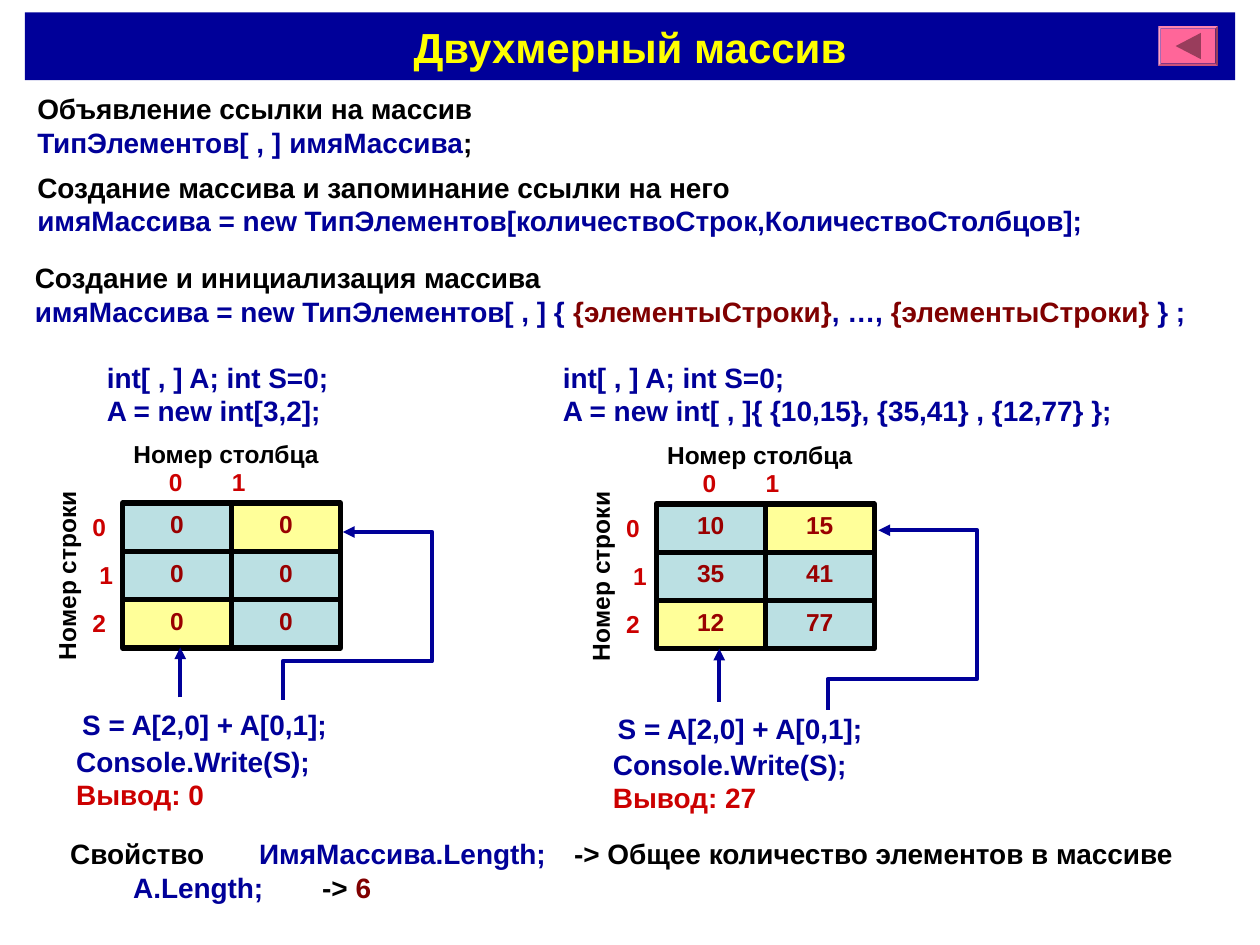
from lxml.etree import SubElement
from pptx import Presentation
from pptx.dml.color import RGBColor
from pptx.enum.shapes import MSO_CONNECTOR, MSO_SHAPE
from pptx.enum.text import MSO_ANCHOR, PP_ALIGN
from pptx.oxml.ns import qn
from pptx.util import Pt

COLORS = {"navy": "000099", "black": "000000", "red": "CC0000", "maroon": "800000",
          "value": "990000", "yellow": "FFFF00", "pale": "FFFF99", "teal": "BBE0E3",
          "pink": "FF6699", "shade": "993D5C"}
RGB = {name: RGBColor.from_string(value) for name, value in COLORS.items()}

prs = Presentation()
prs.slide_width, prs.slide_height = Pt(720), Pt(540)
s = prs.slides.add_slide(prs.slide_layouts[5])


def add_text(x, y, w, h, lines, size=16, indent=0, tabs=()):
    """Each line is a list of (text, colour); tabs holds the stops of each line."""
    sp = s.shapes.add_textbox(Pt(x), Pt(y), Pt(w), Pt(h))
    tf = sp.text_frame
    tf.word_wrap = True
    for i, line in enumerate(lines):
        p = tf.paragraphs[0] if i == 0 else tf.add_paragraph()
        pPr = p._p.get_or_add_pPr()
        pPr.set("marL", str(Pt(indent)))
        pPr.set("indent", "0")
        if i < len(tabs):
            tab_list = SubElement(pPr, qn("a:tabLst"))
            for stop in tabs[i]:
                SubElement(tab_list, qn("a:tab"), pos=str(Pt(stop)), algn="l")
        for text, color in line:
            r = p.add_run()
            r.text = text
            r.font.name, r.font.size, r.font.bold = "Arial", Pt(size), True
            r.font.color.rgb = RGB[color]
    return sp


def style_arrow(sp):
    sp.line.color.rgb = RGB["navy"]
    sp.line.width = Pt(2.25)
    SubElement(sp.line._get_or_add_ln(), qn("a:tailEnd"), type="triangle")


# Title bar
title = s.shapes.title
title.left, title.top, title.width, title.height = Pt(14.2), Pt(7), Pt(691.6), Pt(38.8)
title.fill.solid()
title.fill.fore_color.rgb = RGB["navy"]
tf = title.text_frame
tf.text = "Двухмерный массив"
tf.vertical_anchor = MSO_ANCHOR.MIDDLE
p = tf.paragraphs[0]
p.alignment = PP_ALIGN.CENTER
font = p.runs[0].font
font.name, font.size, font.bold = "Arial", Pt(24), True
font.color.rgb = RGB["yellow"]

# Back button: bevelled plate with an arrow turned to the left
plate = s.shapes.add_shape(MSO_SHAPE.BEVEL, Pt(661.9), Pt(15), Pt(34), Pt(22.6))
plate.adjustments[0] = 0.06
arrow = s.shapes.add_shape(MSO_SHAPE.ISOSCELES_TRIANGLE, Pt(671.5), Pt(19.1), Pt(15), Pt(14.4))
arrow.rotation = 270
for sp, color in ((plate, "pink"), (arrow, "shade")):
    sp.shadow.inherit = False
    sp.fill.solid()
    sp.fill.fore_color.rgb = RGB[color]
    sp.line.fill.background()

# Syntax of declaration, creation and initialisation
add_text(14.2, 49, 495, 46,
         [[("Объявление ссылки на массив", "black")],
          [("ТипЭлементов[ , ]\tимяМассива", "navy"), (";", "black")]],
         tabs=[(), (148.2,)])
add_text(14.2, 93.8, 686, 46,
         [[("Создание массива и запоминание ссылки на него", "black")],
          [("имяМассива = new ТипЭлементов[количествоСтрок,КоличествоСтолбцов];", "navy")]])
add_text(12.8, 145.3, 688, 46,
         [[("Создание и инициализация массива", "black")],
          [("имяМассива = new ТипЭлементов[ , ] { ", "navy"), ("{элементыСтроки}", "maroon"),
           (", …, ", "navy"), ("{элементыСтроки}", "maroon"), (" } ;", "navy")]])

# Two examples: code, numbered grid, arrows to the summed cells, output
examples = [
    {"x": 70, "y": 287.5, "code": (54, "A = new int[3,2];"),
     "rows": [(0, 0), (0, 0), (0, 0)],
     "up": (103, 398.5, 370), "elbow": [(161.5, 400), (161.5, 378), (247, 378), (247, 304), (196, 304)],
     "sum": (31, 401), "output": (36.5, 421.7, "Вывод: 0")},
    {"x": 375, "y": 288, "code": (314.6, "A = new int[ , ]{ {10,15}, {35,41} , {12,77} };"),
     "rows": [(10, 15), (35, 41), (12, 77)],
     "up": (411, 401, 370.7), "elbow": [(473, 405.5), (473, 388), (558.5, 388), (558.5, 303), (502, 303)],
     "sum": (337, 403), "output": (343.2, 423.5, "Вывод: 27")},
]
CELL_W, CELL_H = 62.3, 27.6

for ex in examples:
    x, y = ex["x"], ex["y"]
    code_x, code = ex["code"]
    add_text(code_x, 202.3, 360, 46, [[("int[ , ] A; int S=0;", "navy")], [(code, "navy")]])

    # Row and column numbers
    add_text(x, y - 24, 125, 25, [[("0\t1", "red")]], 14, 19.5, [(79.5,)])
    add_text(x - 21.5, y - 40, 176, 25, [[("Номер столбца", "black")]], 14, 20.6)
    numbers = add_text(x - 24.3, y + 4.7, 30, 80, [[(str(n), "red")] for n in range(3)], 14)
    for i, p in enumerate(numbers.text_frame.paragraphs):
        p.line_spacing = 0.8
        if i:
            p.space_before = Pt(14)
    numbers.text_frame.paragraphs[1]._p.pPr.set("marL", str(Pt(4)))
    side = add_text(x - 102.5, y + 30, 142, 25, [[("Номер строки", "black")]], 14, 16.7)
    side.rotation = 270

    # Cells
    for row, values in enumerate(ex["rows"]):
        for col, value in enumerate(values):
            sp = s.shapes.add_shape(MSO_SHAPE.RECTANGLE, Pt(x + col * CELL_W),
                                    Pt(y + row * CELL_H), Pt(CELL_W), Pt(CELL_H))
            sp.shadow.inherit = False
            sp.fill.solid()
            sp.fill.fore_color.rgb = RGB["pale" if (row, col) in ((2, 0), (0, 1)) else "teal"]
            sp.line.color.rgb = RGB["black"]
            sp.line.width = Pt(3)
            tf = sp.text_frame
            tf.text = str(value)
            tf.vertical_anchor = MSO_ANCHOR.TOP
            p = tf.paragraphs[0]
            p.alignment = PP_ALIGN.CENTER
            font = p.runs[0].font
            font.name, font.size, font.bold = "Arial", Pt(14), True
            font.color.rgb = RGB["value"]

    # Arrows
    up_x, start, end = ex["up"]
    up = s.shapes.add_connector(MSO_CONNECTOR.STRAIGHT, Pt(up_x), Pt(start), Pt(up_x), Pt(end))
    SubElement(up._element.spPr, qn("a:effectLst"))
    style_arrow(up)
    points = [(Pt(px), Pt(py)) for px, py in ex["elbow"]]
    builder = s.shapes.build_freeform(*points[0])
    builder.add_line_segments(points[1:], close=False)
    elbow = builder.convert_to_shape()
    elbow.shadow.inherit = False
    elbow.fill.background()
    style_arrow(elbow)

    # Sum and its output
    sum_x, sum_y = ex["sum"]
    add_text(sum_x, sum_y, 187, 26.6, [[("S = A[2,0] + A[0,1];", "navy")]], indent=8.9)
    out_x, out_y, output = ex["output"]
    add_text(out_x, out_y, 153, 46, [[("Console.Write(S);", "navy")], [(output, "red")]])

# Length property
add_text(33, 474.5, 652, 46,
         [[("Свойство", "black"), ("\tИмяМассива.Length;", "navy"),
           ("\t-> Общее количество элементов в массиве", "black")],
          [("\tA.Length;", "navy"), ("\t-> ", "black"), ("6", "maroon")]],
         tabs=[(94.5, 276.2), (93.4, 180.8)])

prs.save("out.pptx")
